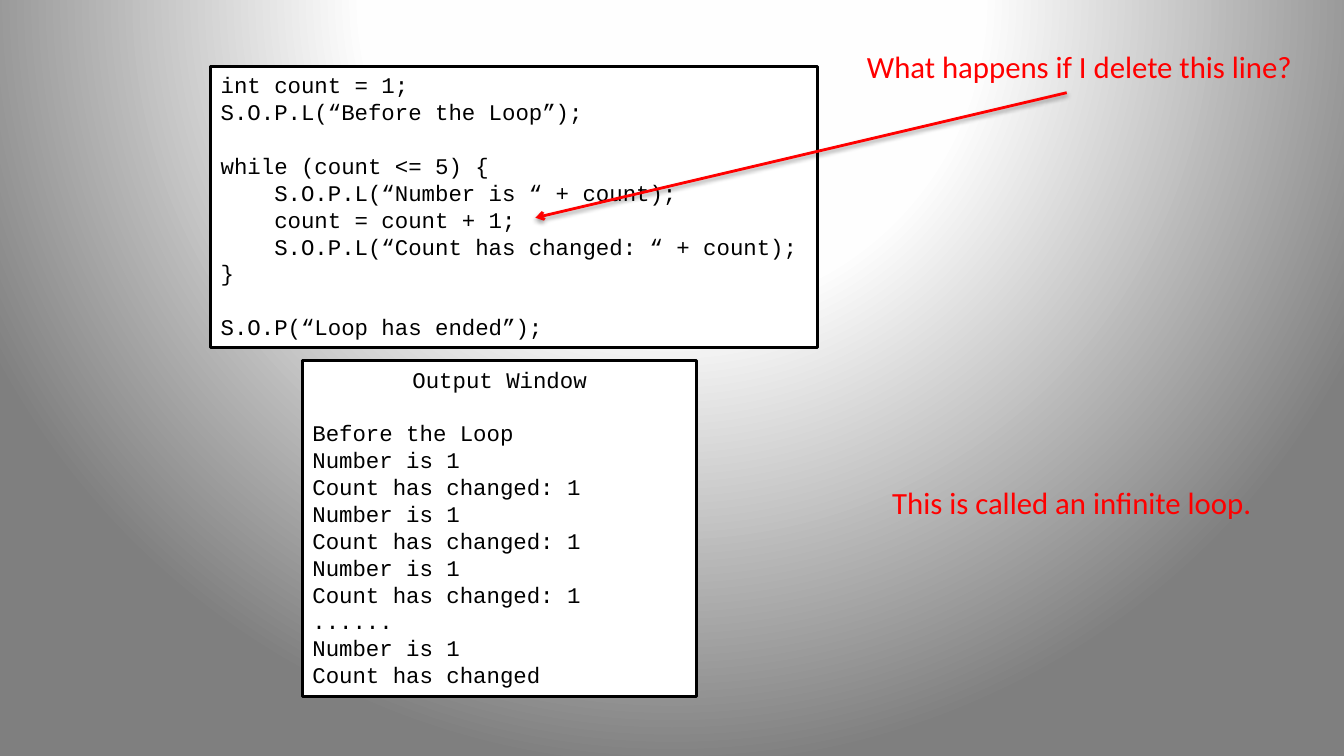
from lxml import etree
from pptx import Presentation
from pptx.dml.color import RGBColor as RGB
from pptx.enum.shapes import MSO_CONNECTOR as CONNECTOR, MSO_SHAPE as SHAPE
from pptx.enum.text import MSO_ANCHOR as ANCHOR, MSO_AUTO_SIZE as AUTO, PP_ALIGN as ALIGN
from pptx.oxml import parse_xml
from pptx.oxml.ns import nsdecls, qn
from pptx.util import Inches, Pt

COLORS = {"ink": "000000", "panel": "FFFFFF", "note": "FF0000",
          "center": "FFFFFF", "middle": "FEFEFE", "edge": "7F7F7F"}
CODE_FONT = {"name": "Courier New", "size": Pt(16)}
NOTE_FONT = {"name": "Calibri", "size": Pt(22)}
LINE_GAP = Pt(19.2)

CODE = [
    ["int count = 1;", "S.O.P.L(“Before the Loop”);"],
    ["while (count <= 5) {",
     "    S.O.P.L(“Number is “ + count);",
     "    count = count + 1;",
     "    S.O.P.L(“Count has changed: “ + count);",
     "}"],
    ["S.O.P(“Loop has ended”);"],
]
PASS = ["Number is 1", "Count has changed: 1"]
OUTPUT = [
    ["Output Window"],
    ["Before the Loop", *PASS * 3, "......", "Number is 1", "Count has changed"],
]


def color(name):
    return RGB.from_string(COLORS[name])


def paint_background(slide):
    slide.background.fill.gradient()
    gradient = slide.background._cSld.find(".//" + qn("a:gradFill"))
    stops = "".join(
        f'<a:gs pos="{percent * 1000}"><a:srgbClr val="{COLORS[name]}"/></a:gs>'
        for percent, name in [(0, "center"), (40, "middle"), (100, "edge")])
    gradient.getparent().replace(gradient, parse_xml(
        f'<a:gradFill {nsdecls("a")} rotWithShape="1"><a:gsLst>{stops}</a:gsLst>'
        '<a:path path="circle"><a:fillToRect l="50000" t="-80000" r="50000" b="180000"/>'
        '</a:path></a:gradFill>'))


def write_blocks(frame, blocks, font, ink, wrap):
    settings = {"word_wrap": wrap, "auto_size": AUTO.SHAPE_TO_FIT_TEXT,
                "vertical_anchor": ANCHOR.TOP}
    for key, value in settings.items():
        setattr(frame, key, value)
    lines = [(line, block > 0 and row == 0)
             for block, rows in enumerate(blocks) for row, line in enumerate(rows)]
    for index, (line, opens_block) in enumerate(lines):
        paragraph = frame.add_paragraph() if index else frame.paragraphs[0]
        paragraph.alignment = ALIGN.LEFT
        if opens_block:
            paragraph.space_before = LINE_GAP
        run = paragraph.add_run()
        run.text = line
        for key, value in font.items():
            setattr(run.font, key, value)
        run.font.color.rgb = color(ink)


def add_panel(slide, box, blocks, wrap):
    panel = slide.shapes.add_shape(SHAPE.RECTANGLE, *map(Inches, box))
    panel.shadow.inherit = False
    panel.fill.solid()
    panel.fill.fore_color.rgb = color("panel")
    panel.line.color.rgb = color("ink")
    panel.line.width = Pt(2)
    write_blocks(panel.text_frame, blocks, CODE_FONT, "ink", wrap)
    return panel


def add_note(slide, box, text):
    note = slide.shapes.add_textbox(*map(Inches, box))
    write_blocks(note.text_frame, [[text]], NOTE_FONT, "note", False)


def add_pointer(slide, start, end):
    pointer = slide.shapes.add_connector(CONNECTOR.STRAIGHT, *map(Inches, start + end))
    pointer.line.color.rgb = color("note")
    pointer.line.width = Pt(2)
    properties = pointer._element.spPr
    etree.SubElement(properties.find(qn("a:ln")), qn("a:tailEnd"), type="arrow")
    properties.append(parse_xml(
        f'<a:effectLst {nsdecls("a")}>'
        '<a:outerShdw blurRad="40000" dist="20000" dir="5400000" rotWithShape="0">'
        f'<a:srgbClr val="{COLORS["ink"]}"><a:alpha val="38000"/></a:srgbClr>'
        '</a:outerShdw></a:effectLst>'))


def build_loop_slide(deck):
    slide = deck.slides.add_slide(deck.slide_layouts[6])
    paint_background(slide)
    add_panel(slide, (2.09, 0.66, 6.02, 2.79), CODE, False)
    add_note(slide, (8.5, 0.42, 4.48, 0.47), "What happens if I delete this line?")
    add_pointer(slide, (10.58, 0.92), (5.31, 2.16))
    output = add_panel(slide, (3, 3.58, 3.91, 3.33), OUTPUT, True)
    output.text_frame.paragraphs[0].alignment = ALIGN.CENTER
    add_note(slide, (8.75, 4.75, 3.81, 0.47), "This is called an infinite loop.")


def main():
    deck = Presentation()
    deck.slide_width, deck.slide_height = Inches(13.33), Inches(7.5)
    build_loop_slide(deck)
    deck.save("out.pptx")


if __name__ == "__main__":
    main()
